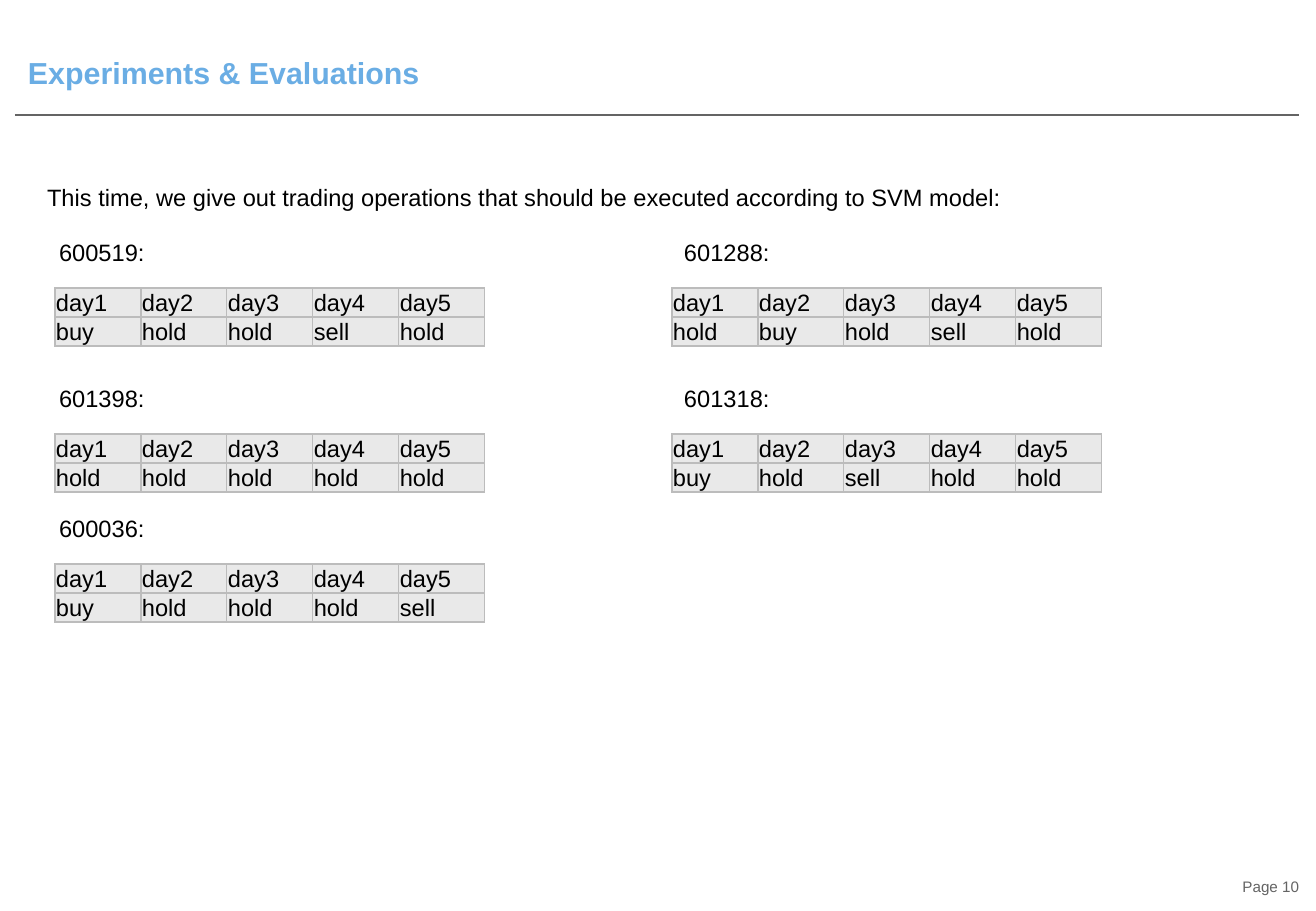
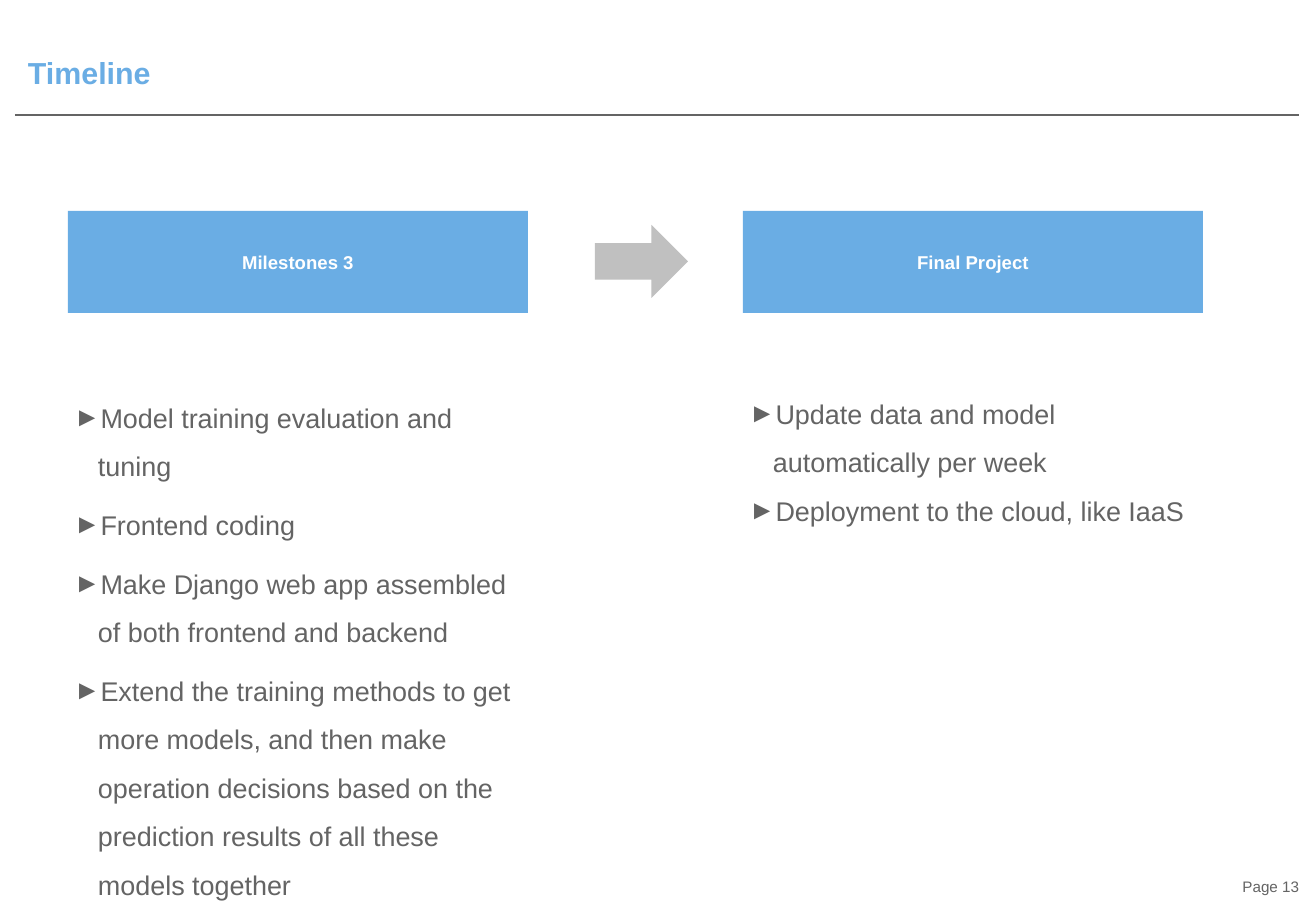
from dataclasses import dataclass

from lxml import etree
from pptx import Presentation
from pptx.dml.color import RGBColor
from pptx.enum.shapes import MSO_CONNECTOR, MSO_SHAPE
from pptx.enum.text import MSO_ANCHOR, MSO_AUTO_SIZE, PP_ALIGN
from pptx.oxml.ns import qn
from pptx.util import Emu, Pt

LEFT, CENTER, RIGHT = PP_ALIGN.LEFT, PP_ALIGN.CENTER, PP_ALIGN.RIGHT
TOP, MIDDLE, BOTTOM = MSO_ANCHOR.TOP, MSO_ANCHOR.MIDDLE, MSO_ANCHOR.BOTTOM
NO_AUTOFIT = MSO_AUTO_SIZE.NONE
STRAIGHT = MSO_CONNECTOR.STRAIGHT
RECTANGLE, RIGHT_ARROW = MSO_SHAPE.RECTANGLE, MSO_SHAPE.RIGHT_ARROW


@dataclass(frozen=True)
class Theme:
    font: str = "Arial"
    blue: str = "6AADE4"
    grey: str = "646464"
    arrow: str = "C0C0C0"
    cell: str = "E9E9E9"
    border: str = "BCBCBC"
    black: str = "000000"
    white: str = "FFFFFF"
    title_size: int = 18
    bullet_size: int = 16
    text_size: int = 14
    banner_size: int = 11
    footer_size: int = 9
    line_width: float = 0.75


theme = Theme()


def px(length):
    return Emu(round(length * 914400 / 121.5))


def write(frame, *lines, size=theme.text_size, color=theme.black, bold=False,
          align=LEFT, anchor=TOP, insets=(12, 6, 12, 6), spacing=1.0,
          gap=0, bullet=None):
    frame.word_wrap = True
    frame.auto_size = NO_AUTOFIT
    frame.vertical_anchor = anchor
    (frame.margin_left, frame.margin_top,
     frame.margin_right, frame.margin_bottom) = map(px, insets)
    for index, line in enumerate(lines):
        paragraph = frame.add_paragraph() if index else frame.paragraphs[0]
        paragraph.alignment = align
        paragraph.line_spacing = spacing
        paragraph.space_before = Pt(gap if index else 0)
        run = paragraph.add_run()
        run.text = line
        run.font.name = theme.font
        run.font.size = Pt(size)
        run.font.bold = bold
        run.font.color.rgb = RGBColor.from_string(color)
        if bullet:
            properties = paragraph._p.get_or_add_pPr()
            properties.set("marL", str(px(24)))
            properties.set("indent", str(-px(24)))
            bullet_color = etree.SubElement(properties, qn("a:buClr"))
            etree.SubElement(bullet_color, qn("a:srgbClr"), val=color)
            etree.SubElement(properties, qn("a:buFont"), typeface=theme.font)
            etree.SubElement(properties, qn("a:buChar"), char=bullet)


deck = Presentation()
deck.slide_width, deck.slide_height = px(1316), px(911)
slides = []

for heading, page in (("Experiments & Evaluations", 10), ("Timeline", 13)):
    slide = deck.slides.add_slide(deck.slide_layouts[5])
    slides.append(slide)
    title = slide.shapes.title
    title.left, title.top, title.width, title.height = map(px, (22, 40, 1287, 51))
    write(title.text_frame, heading, size=theme.title_size, color=theme.blue,
          bold=True, anchor=BOTTOM, insets=(6, 0, 0, 0), spacing=0.85)
    rule = slide.shapes.add_connector(STRAIGHT, *map(px, (15, 115, 1299, 115)))
    rule.line.color.rgb = RGBColor.from_string(theme.grey)
    rule.line.width = Pt(theme.line_width)
    etree.SubElement(rule._element.spPr, qn("a:effectLst"))
    footer = slide.shapes.add_textbox(*map(px, (991, 873, 308, 27)))
    write(footer.text_frame, f"Page {page}", size=theme.footer_size,
          color=theme.grey, align=RIGHT, anchor=MIDDLE, insets=(0, 0, 0, 0))

experiments, timeline = slides

intro = experiments.shapes.add_textbox(*map(px, (35, 177, 1205, 41)))
write(intro.text_frame, "This time, we give out trading operations that should "
      "be executed according to SVM model:")

days = [f"day{number}" for number in range(1, 6)]
left_column, right_column = (47, 55), (672, 672)
operations = (
    ("600519", left_column, 288, "buy hold hold sell hold"),
    ("601288", right_column, 288, "hold buy hold sell hold"),
    ("601398", left_column, 434, "hold hold hold hold hold"),
    ("601318", right_column, 434, "buy hold sell hold hold"),
    ("600036", left_column, 564, "buy hold hold hold sell"),
)
for stock, (label_x, table_x), top, decisions in operations:
    label = experiments.shapes.add_textbox(*map(px, (label_x, top - 56, 131, 41)))
    write(label.text_frame, f"{stock}:")
    schedule = experiments.shapes.add_table(
        2, len(days), *map(px, (table_x, top, 430, 58))).table
    schedule.first_row = schedule.horz_banding = False
    for row, words in enumerate((days, decisions.split())):
        for column, word in enumerate(words):
            cell = schedule.cell(row, column)
            write(cell.text_frame, word)
            cell.vertical_anchor = MIDDLE
            cell.margin_left = cell.margin_top = cell.margin_right = px(1)
            cell.margin_bottom = 0
            cell.fill.solid()
            cell.fill.fore_color.rgb = RGBColor.from_string(theme.cell)
            properties = cell._tc.get_or_add_tcPr()
            for position, side in enumerate(("lnL", "lnR", "lnT", "lnB")):
                edge = etree.Element(qn(f"a:{side}"), w=str(Pt(theme.line_width)))
                edge_fill = etree.SubElement(edge, qn("a:solidFill"))
                etree.SubElement(edge_fill, qn("a:srgbClr"), val=theme.border)
                properties.insert(position, edge)

phases = (
    ("Milestones 3", 68, 379, 593, 6, (
        "Model training evaluation and tuning",
        "Frontend coding",
        "Make Django web app assembled of both frontend and backend",
        "Extend the training methods to get more models, and then make operation "
        "decisions based on the prediction results of all these models together",
    )),
    ("Final Project", 743, 375, 159, 0, (
        "Update data and model automatically per week",
        "Deployment to the cloud, like IaaS",
    )),
)
for phase, left, tasks_top, tasks_height, gap, tasks in phases:
    banner = timeline.shapes.add_shape(RECTANGLE, *map(px, (left, 211, 460, 102)))
    banner.shadow.inherit = False
    banner.fill.solid()
    banner.fill.fore_color.rgb = RGBColor.from_string(theme.blue)
    banner.line.fill.background()
    write(banner.text_frame, phase, size=theme.banner_size, color=theme.white,
          bold=True, align=CENTER, anchor=MIDDLE, insets=(6, 6, 6, 6))
    task_list = timeline.shapes.add_textbox(
        *map(px, (left, tasks_top, 460, tasks_height)))
    write(task_list.text_frame, *tasks, size=theme.bullet_size, color=theme.grey,
          insets=(6, 6, 6, 6), spacing=1.5, gap=gap, bullet="►")

next_phase = timeline.shapes.add_shape(RIGHT_ARROW, *map(px, (595, 225, 93, 73)))
next_phase.shadow.inherit = False
next_phase.fill.solid()
next_phase.fill.fore_color.rgb = RGBColor.from_string(theme.arrow)
next_phase.line.fill.background()

deck.save("out.pptx")
